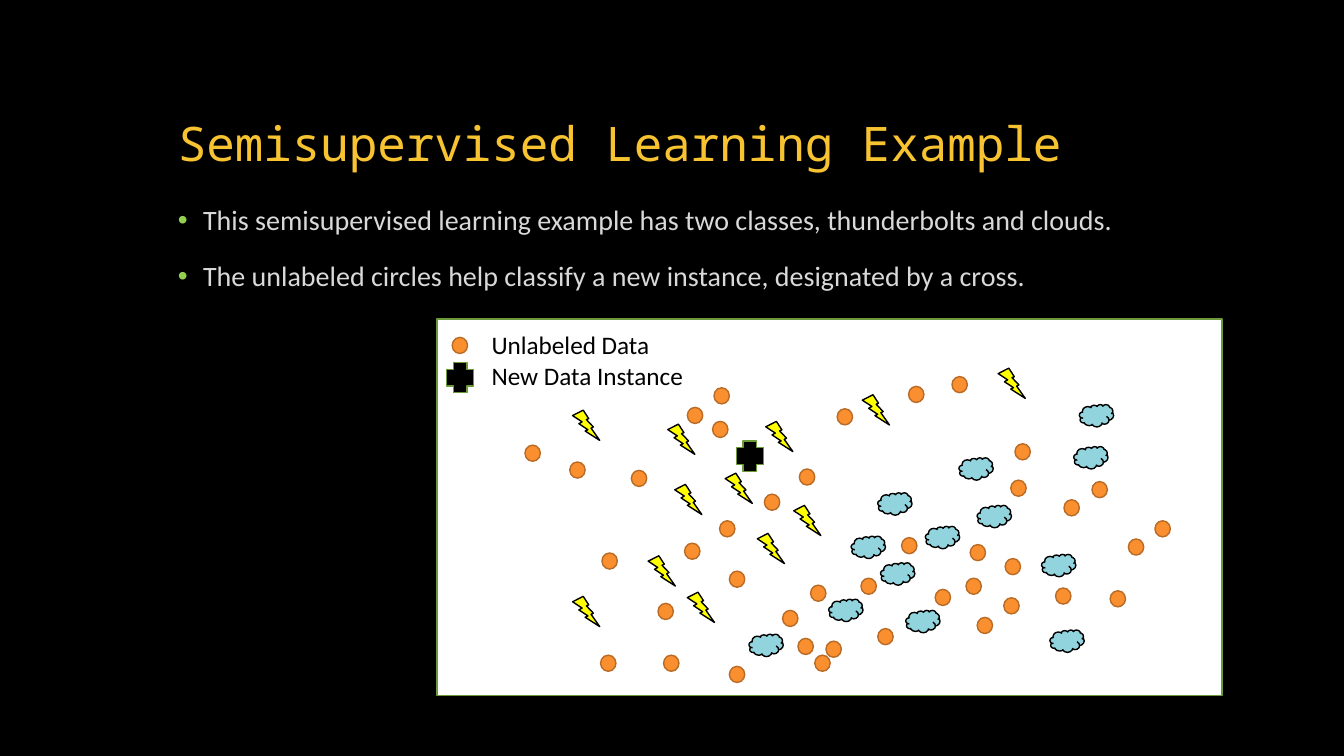
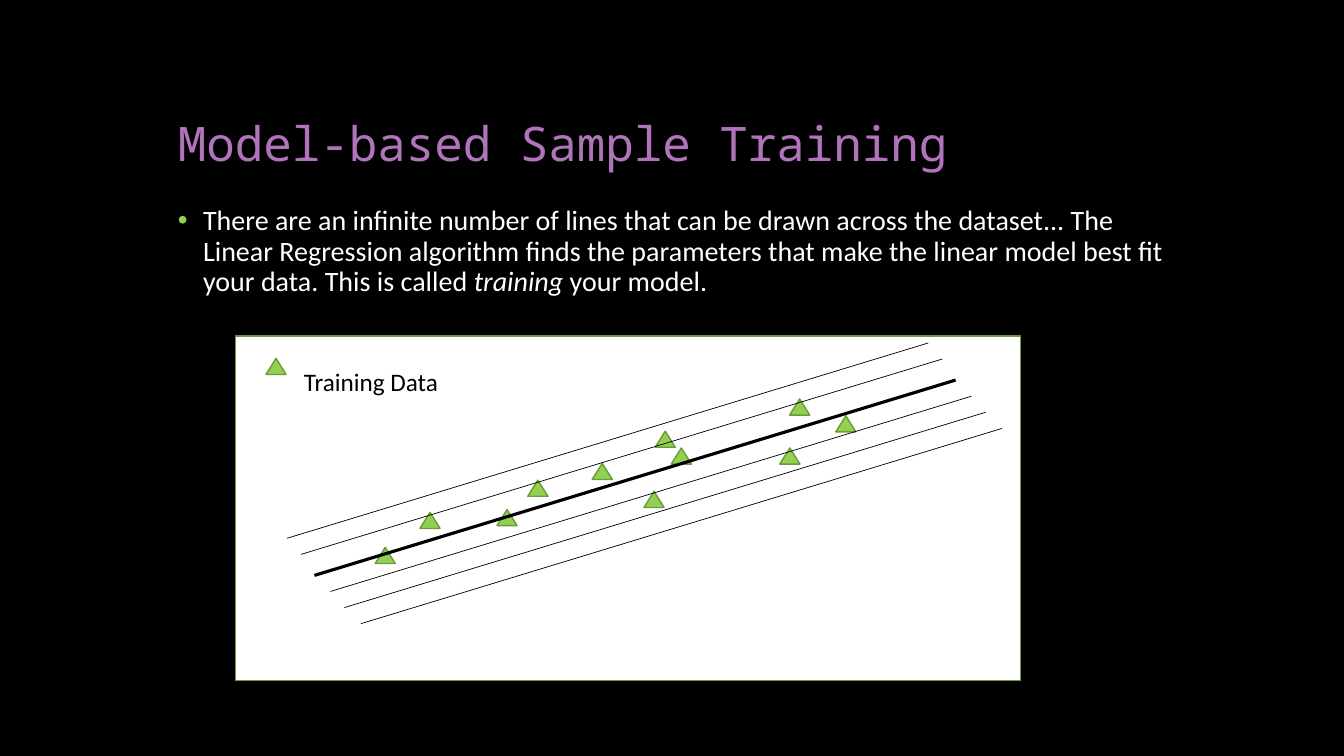
from lxml import etree
from pptx import Presentation
from pptx.dml.color import RGBColor
from pptx.enum import shapes, text
from pptx.oxml.ns import qn
from pptx.util import Pt

COLORS = {
    "background": "000000", "panel": "FFFFFF", "ink": "000000",
    "gold": "F7C331", "purple": "B074BA", "soft": "D9D9D9", "white": "FFFFFF",
    "green": "92D050", "dark_green": "6C9A3B", "yellow": "FFFF00",
    "sky": "91D4DD", "orange": "FA8F30", "dark_orange": "B96A24",
}
TITLE_FONT, BODY_FONT = "Noto Sans Mono", "Calibri"
TITLE_BOX = (120, 36, 720, 90)
BODY_BOX = (120, 144, 720, 336)

# Marker kinds: preset, width, height, fill, outline
PRESET = shapes.MSO_SHAPE
MARKERS = {
    "bolt": (PRESET.LIGHTNING_BOLT, 19.4, 21.6, "yellow", "ink"),
    "cloud": (PRESET.CLOUD, 24.5, 16, "sky", "ink"),
    "circle": (PRESET.OVAL, 11, 11.5, "orange", "dark_orange"),
    "cross": (PRESET.CROSS, 19.4, 21.6, "ink", "dark_green"),
    "triangle": (PRESET.ISOSCELES_TRIANGLE, 14.4, 11.5, "green", "dark_green"),
}

# Marker positions, measured from the panel's top left corner
BOLTS = [
    (255, 133), (229, 153), (304, 54), (97, 65), (165, 75), (151, 169),
    (170, 118), (97, 198), (235, 73), (206, 110), (179, 195), (401, 35),
]
CLOUDS = [
    (296, 155), (315, 124), (317, 174), (280, 200), (373, 99), (438, 222),
    (223, 225), (386, 133), (459, 61), (349, 148), (335, 208), (455, 91),
    (432, 168),
]
CIRCLES = [
    (209, 180), (315, 221), (381, 161), (234, 125), (259, 107), (177, 160),
    (158, 203), (118, 167), (202, 144), (303, 185), (278, 230), (356, 193),
    (386, 213), (405, 199), (406, 171), (209, 248), (481, 194), (410, 115),
    (442, 192), (413, 89), (247, 208), (368, 41), (337, 48), (286, 64),
    (197, 73), (139, 108), (267, 190), (95, 102), (162, 240), (258, 228),
    (117, 240), (270, 240), (494, 157), (513, 144), (378, 185), (179, 63),
    (198, 49), (63, 90), (448, 129), (468, 116), (332, 156),
]
TRIANGLES = [
    (300, 68), (311.5, 80), (255, 91), (187, 124), (389, 80), (100, 151),
    (429, 57), (209, 103), (132, 126), (292, 111), (396, 45),
]

# Candidate lines: left x, top y, weight; all share one run and rise
LINE_RUN, LINE_RISE = 458, 139.5
CANDIDATE_LINES = [
    (37, 5, 0.5), (47, 16.5, 0.5), (56.6, 31.5, 2.25),
    (68, 43, 0.5), (78, 54.5, 0.5), (89.8, 66, 0.5),
]


def rgb(name):
    return RGBColor.from_string(COLORS[name])


def add_bullet(paragraph):
    properties = paragraph._p.get_or_add_pPr()
    properties.set("marL", str(Pt(18)))
    properties.set("indent", str(-Pt(18)))
    tint = etree.SubElement(properties, qn("a:buClr"))
    etree.SubElement(tint, qn("a:srgbClr"), val=COLORS["green"])
    etree.SubElement(properties, qn("a:buFont"), typeface="Arial")
    etree.SubElement(properties, qn("a:buChar"), char="•")


def add_text(slide, box, paragraphs, *, size, color, font=BODY_FONT,
             anchor=text.MSO_ANCHOR.TOP, bullets=False, spacing=None,
             before=0):
    """Each paragraph is a list of (words, italic) runs."""
    holder = slide.shapes.add_textbox(*map(Pt, box))
    frame = holder.text_frame
    frame.word_wrap = True
    frame.vertical_anchor = anchor
    for index, runs in enumerate(paragraphs):
        paragraph = frame.paragraphs[0] if index == 0 else frame.add_paragraph()
        if bullets:
            add_bullet(paragraph)
        if spacing:
            paragraph.line_spacing = spacing
        if index and before:
            paragraph.space_before = Pt(before)
        for words, italic in runs:
            run = paragraph.add_run()
            run.text = words
            run.font.name = font
            run.font.size = Pt(size)
            run.font.italic = italic
            run.font.color.rgb = rgb(color)
    return holder


def add_preset(slide, preset, box, fill, outline):
    shape = slide.shapes.add_shape(preset, *map(Pt, box))
    shape.shadow.inherit = False
    shape.fill.solid()
    shape.fill.fore_color.rgb = rgb(fill)
    shape.line.color.rgb = rgb(outline)
    shape.line.width = Pt(1)


def add_markers(slide, panel, kind, positions):
    preset, width, height, fill, outline = MARKERS[kind]
    for x, y in positions:
        box = (panel[0] + x, panel[1] + y, width, height)
        add_preset(slide, preset, box, fill, outline)


def add_line(slide, start, end, weight):
    line = slide.shapes.add_connector(
        shapes.MSO_CONNECTOR.STRAIGHT, *map(Pt, start + end))
    line.line.color.rgb = rgb("ink")
    line.line.width = Pt(weight)
    etree.SubElement(line._element.spPr, qn("a:effectLst"))


def add_base(deck, title, title_color, points, body_color):
    """Black slide with its title and bulleted body."""
    slide = deck.slides.add_slide(deck.slide_layouts[6])
    slide.background.fill.solid()
    slide.background.fill.fore_color.rgb = rgb("background")
    add_text(slide, TITLE_BOX, [[(title, False)]], size=34, color=title_color,
             font=TITLE_FONT, anchor=text.MSO_ANCHOR.BOTTOM, spacing=0.9)
    add_text(slide, BODY_BOX, points, size=20, color=body_color,
             bullets=True, spacing=0.9, before=18)
    return slide


def add_class_scatter(slide, panel):
    left, top = panel[:2]
    add_preset(slide, PRESET.RECTANGLE, panel, "panel", "dark_green")
    # Data and the new instance
    add_markers(slide, panel, "bolt", BOLTS)
    add_markers(slide, panel, "cloud", CLOUDS)
    add_markers(slide, panel, "circle", CIRCLES)
    add_markers(slide, panel, "cross", [(214, 87)])
    # Legend
    add_markers(slide, panel, "circle", [(11, 13)])
    add_markers(slide, panel, "cross", [(7, 31)])
    add_text(slide, (left + 32, top + 4, 181, 51),
             [[("Unlabeled Data", False)], [("New Data Instance", False)]],
             size=18, color="ink")


def add_line_fits(slide, panel):
    left, top = panel[:2]
    add_preset(slide, PRESET.RECTANGLE, panel, "panel", "dark_green")
    # Training data
    add_markers(slide, panel, "triangle", TRIANGLES)
    # Candidate lines, the best fit being the heavy one
    for x, y, weight in CANDIDATE_LINES:
        add_line(slide, (left + x + LINE_RUN, top + y),
                 (left + x, top + y + LINE_RISE), weight)
    # Legend
    add_markers(slide, panel, "triangle", [(22, 16)])
    label = add_text(slide, (left + 42, top + 18, 155, 29),
                     [[("Training Data", False)]], size=18, color="ink")
    label.fill.solid()
    label.fill.fore_color.rgb = rgb("panel")


def main():
    deck = Presentation()
    deck.slide_width, deck.slide_height = Pt(960), Pt(540)

    semisupervised = add_base(
        deck, "Semisupervised Learning Example", "gold",
        [[("This semisupervised learning example has two classes, "
           "thunderbolts and clouds.", False)],
         [("The unlabeled circles help classify a new instance, "
           "designated by a cross.", False)]], "soft")
    add_class_scatter(semisupervised, (312, 228, 561, 269))

    training = add_base(
        deck, "Model-based Sample Training", "purple",
        [[("There are an infinite number of lines that can be drawn across "
           "the dataset... The Linear Regression algorithm finds the "
           "parameters that make the linear model best fit your data. "
           "This is called ", False),
          ("training", True), (" your model.", False)]], "white")
    add_line_fits(training, (168, 240, 561, 246))

    deck.save("out.pptx")


if __name__ == "__main__":
    main()
